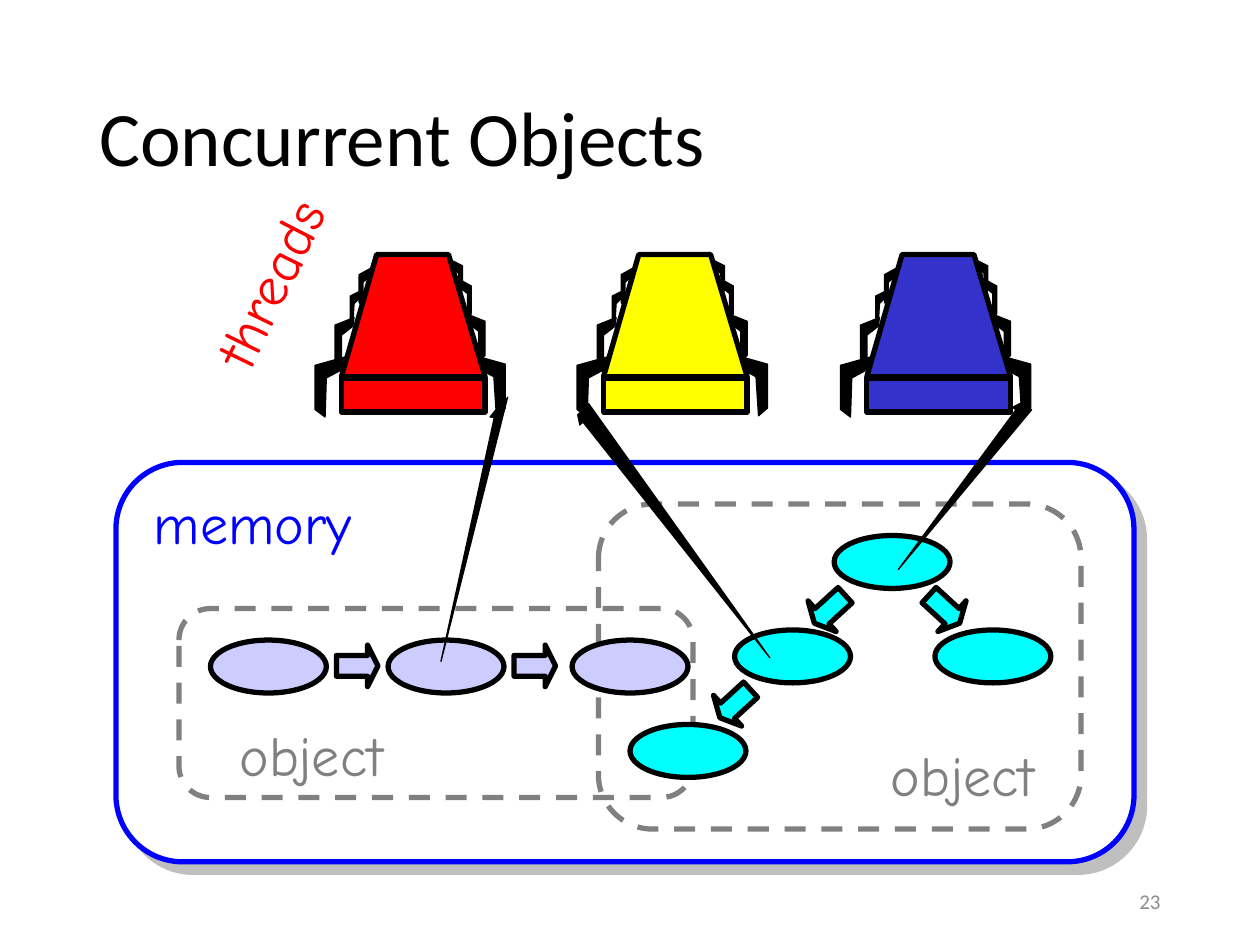
from lxml import etree
from pptx import Presentation
from pptx.dml.color import RGBColor
from pptx.enum.dml import MSO_LINE_DASH_STYLE as Dash
from pptx.enum.shapes import MSO_SHAPE as Shape
from pptx.enum.text import MSO_ANCHOR as Anchor, MSO_AUTO_SIZE as AutoSize, PP_ALIGN as Align
from pptx.oxml import parse_xml
from pptx.oxml.ns import qn
from pptx.util import Pt

PX = 9144
COLORS = {
    "black": "000000", "white": "FFFFFF", "blue": "0000FF", "gray": "808080",
    "number": "8C8C8C", "red": "FF0000", "yellow": "FFFF00", "indigo": "3333CC",
    "lilac": "CCCCFF", "cyan": "00FFFF",
}

deck = Presentation()
deck.slide_width = 1000 * PX
deck.slide_height = 750 * PX
page = deck.slides.add_slide(deck.slide_layouts[6])


def add_figure(kind, area, fill=None, line="black"):
    figure = page.shapes.add_shape(kind, *[length * PX for length in area])
    figure.shadow.inherit = False
    if fill:
        figure.fill.solid()
        figure.fill.fore_color.rgb = RGBColor.from_string(COLORS[fill])
    else:
        figure.fill.background()
    figure.line.color.rgb = RGBColor.from_string(COLORS[line])
    figure.line.width = Pt(3)
    return figure


def add_outline(points, fill="black", width=0.75, close=True):
    builder = page.shapes.build_freeform(*points[0], scale=PX)
    builder.add_line_segments(points[1:], close=close)
    outline = builder.convert_to_shape()
    outline.shadow.inherit = False
    outline.fill.solid()
    outline.fill.fore_color.rgb = RGBColor.from_string(COLORS[fill])
    outline.line.color.rgb = RGBColor.from_string(COLORS["black"])
    outline.line.width = Pt(width)
    return outline


memory = add_figure(Shape.ROUNDED_RECTANGLE, (92, 367, 808, 317), "white", "blue")
effects = memory._element.spPr.find(qn("a:effectLst"))
effects.append(parse_xml(
    '<a:outerShdw xmlns:a="http://schemas.openxmlformats.org/drawingml/2006/main" '
    'blurRad="0" dist="107950" dir="2700000" algn="ctr" rotWithShape="0">'
    f'<a:srgbClr val="{COLORS["gray"]}"><a:alpha val="50000"/></a:srgbClr></a:outerShdw>'))

for area in ((142, 483, 408, 150), (475, 400, 383, 258)):
    border = add_figure(Shape.ROUNDED_RECTANGLE, area, line="gray")
    border.line.dash_style = Dash.DASH

LEG_PROFILE = ((0, 0), (1, 0.15), (1, 0.87), (0.7, 1), (0.65, 0.36), (0.05, 0.19))
RIGHT_LEGS = ((105, 282, 25, 48), (99, 249, 15, 38), (94, 222, 9, 31), (88, 207, 8, 27))
LEFT_LEGS = ((-21, 283, 25, 48), (-5, 252, 15, 38), (14, 213, 9, 31), (7, 231, 8, 27))

for left, color in ((271, "red"), (479, "yellow"), (688, "indigo")):
    for legs, mirrored in ((RIGHT_LEGS, False), (LEFT_LEGS, True)):
        for x, y, width, height in legs:
            add_outline([
                (left + x + round(width * (1 - across if mirrored else across)),
                 y + round(height * down))
                for across, down in LEG_PROFILE
            ])
    add_outline([(left, 299), (left + 28, 202), (left + 85, 202), (left + 114, 299)], color, 3)
    add_figure(Shape.RECTANGLE, (left, 300, 114, 27), color)

for color, corners in (
    ("lilac", ((167, 508), (308, 508), (454, 508))),
    ("cyan", ((662, 425), (583, 500), (742, 500), (500, 575))),
):
    for x, y in corners:
        add_figure(Shape.OVAL, (x, y, 92, 42), color)

for x, y, angle, color in (
    (267, 512, 0, "lilac"), (408, 512, 0, "lilac"),
    (733, 467, 42.5, "cyan"), (642, 467, 137.5, "cyan"), (567, 542, 137.5, "cyan"),
):
    arrow = add_figure(Shape.RIGHT_ARROW, (x, y, 33, 33), color)
    arrow.adjustments[0] = 0.5
    arrow.adjustments[1] = 0.25
    arrow.rotation = angle

for points in (
    ((403, 315), (350, 525), (394, 324)),
    ((467, 320), (611, 522), (458, 329)),
    ((819, 325), (713, 452), (811, 319)),
):
    arm = add_outline(points, close=False)
    etree.SubElement(arm.line._get_or_add_ln(), qn("a:tailEnd"), type="triangle")

for words, area, angle, size, font, color, align in (
    ("Concurrent Objects", (69, 40, 862, 145), 0, 44, "Calibri", "black", Align.LEFT),
    ("23", (706, 695, 225, 40), 0, 12, "Calibri", "number", Align.RIGHT),
    ("memory", (108, 383, 181, 63), 0, 32, "Comic Neue", "blue", Align.RIGHT),
    ("object", (158, 567, 156, 63), 0, 32, "Comic Neue", "gray", Align.RIGHT),
    ("object", (675, 583, 156, 63), 0, 32, "Comic Neue", "gray", Align.RIGHT),
    ("threads", (117, 203, 183, 63), 295.9, 32, "Comic Neue", "red", Align.RIGHT),
):
    box = page.shapes.add_textbox(*[length * PX for length in area])
    box.rotation = angle
    frame = box.text_frame
    frame.text = words
    is_label = font == "Comic Neue"
    frame.word_wrap = not is_label
    frame.auto_size = AutoSize.SHAPE_TO_FIT_TEXT if is_label else AutoSize.NONE
    frame.vertical_anchor = Anchor.TOP if is_label else Anchor.MIDDLE
    para = frame.paragraphs[0]
    para.alignment = align
    if size == 44:
        para.line_spacing = 0.9
    span = para.runs[0]
    span.font.size = Pt(size)
    span.font.name = font
    span.font.color.rgb = RGBColor.from_string(COLORS[color])

deck.save("out.pptx")
